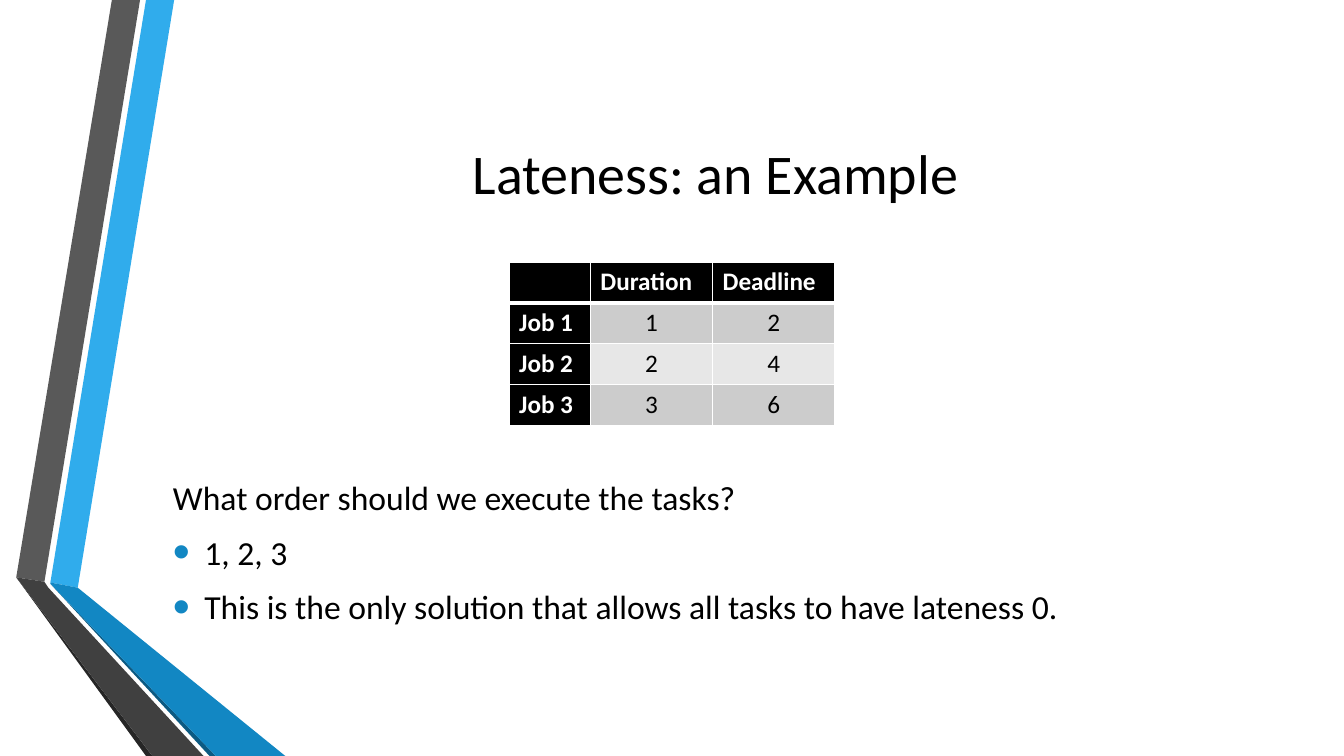
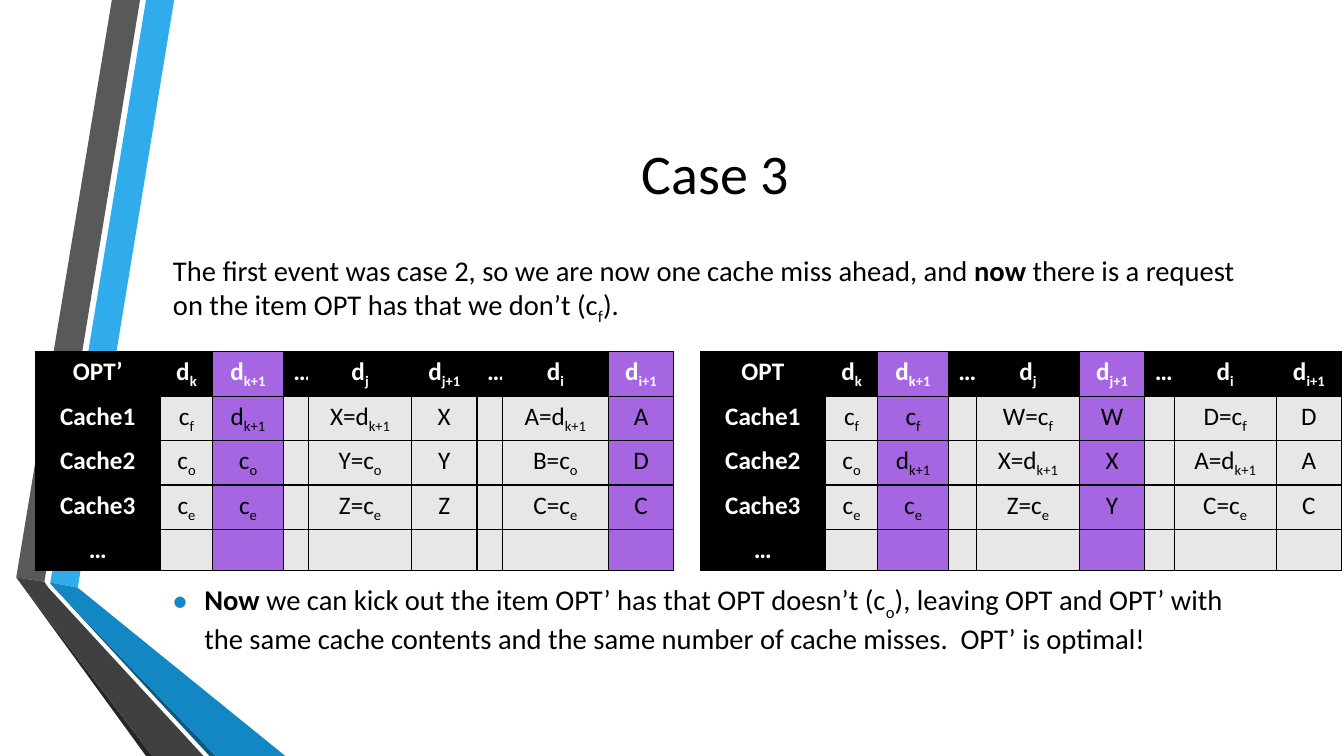
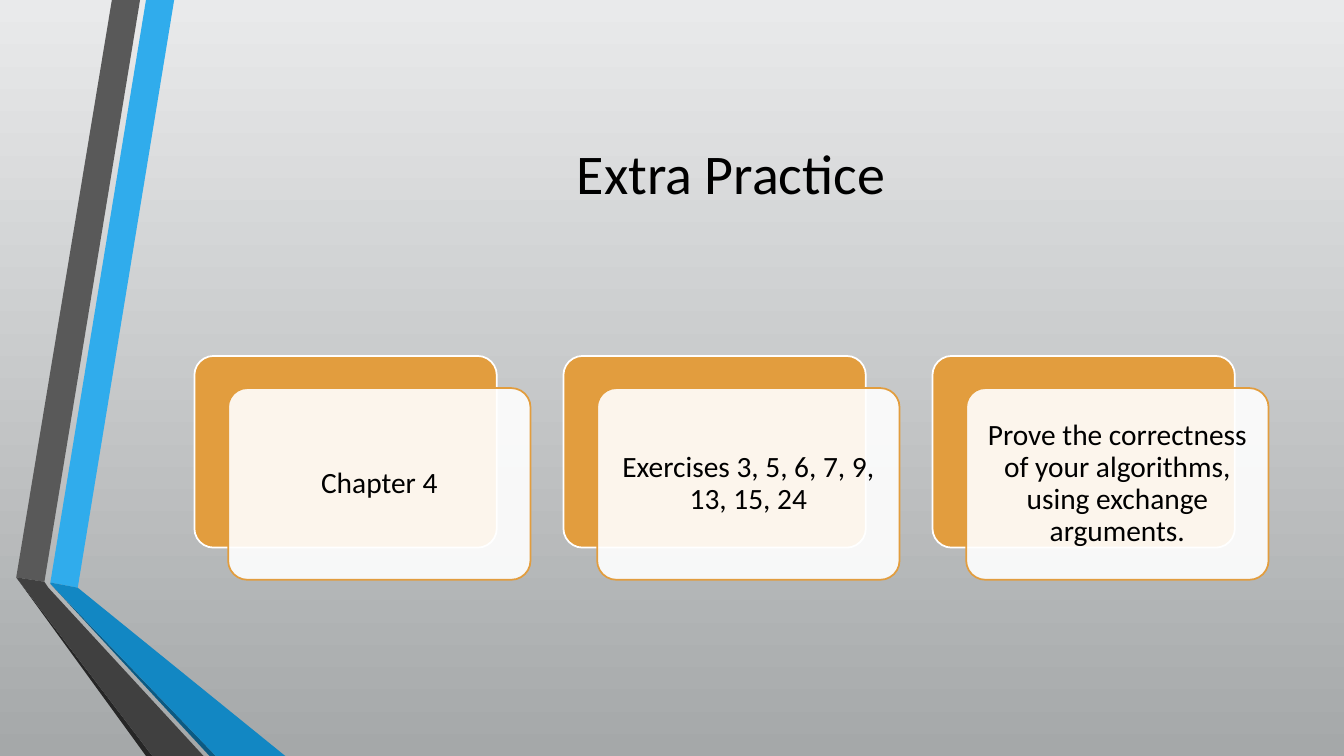
from dataclasses import dataclass
from typing import NamedTuple

from lxml.etree import SubElement
from pptx import Presentation
from pptx.dml.color import RGBColor
from pptx.enum.shapes import MSO_SHAPE as Shape
from pptx.enum.text import MSO_ANCHOR as Anchor, PP_ALIGN as Align
from pptx.oxml.ns import qn
from pptx.util import Cm, Pt


@dataclass(frozen=True)
class Theme:
    """Colours, font and type sizes of the deck."""
    font: str = "Calibri"
    ink: str = "000000"
    paper: str = "FFFFFF"
    accent: str = "1287C3"
    band_dark: str = "CCCCCC"
    band_light: str = "E7E7E7"
    highlight: str = "A666E1"
    card: str = "E29D3E"
    sky: str = "E9EAEB"
    ground: str = "A5A8A9"
    title_size: float = 40
    body_size: float = 24
    note_size: float = 20.4
    card_size: float = 21
    cell_size: float = 18


class Box(NamedTuple):
    """A rectangle in centimetres."""
    left: float
    top: float
    width: float
    height: float

    def emu(self):
        """Return the four lengths for python-pptx."""
        return [Cm(length) for length in self]


THEME = Theme()
SLIDE_WIDTH, SLIDE_HEIGHT = 33.87, 19.05
TITLE_BOX = Box(4.11, 1.9, 27.84, 4.88)
RIBBONS = [
    ("30ACEC", [(1.27, 14.68), (1.96, 14.81), (4.39, 0), (3.68, 0)]),
    ("595959", [(3.53, 0), (2.82, 0), (0.41, 14.55), (1.12, 14.66)]),
    ("262626", [(0.41, 14.55), (3.68, SLIDE_HEIGHT), (3.84, SLIDE_HEIGHT)]),
    ("0C5A82", [(1.27, 14.71), (5.28, SLIDE_HEIGHT), (5.44, SLIDE_HEIGHT)]),
    (THEME.accent, [(1.27, 14.68), (1.27, 14.71), (5.44, SLIDE_HEIGHT),
                    (7.19, SLIDE_HEIGHT), (1.96, 14.81)]),
    ("404040", [(5.13, SLIDE_HEIGHT), (1.22, 14.81), (1.12, 14.66),
                (0.41, 14.55), (3.84, SLIDE_HEIGHT)]),
]


def rgb(code):
    """Turn a hex code into a colour."""
    return RGBColor.from_string(code)


def add_bullet(paragraph):
    """Give a paragraph a hanging accent-coloured bullet."""
    properties = paragraph._p.get_or_add_pPr()
    properties.set("marL", str(Cm(0.79)))
    properties.set("indent", str(-Cm(0.79)))
    colour = SubElement(properties, qn("a:buClr"))
    SubElement(colour, qn("a:srgbClr"), val=THEME.accent)
    SubElement(properties, qn("a:buSzPct"), val="145000")
    SubElement(properties, qn("a:buFont"), typeface="Arial")
    SubElement(properties, qn("a:buChar"), char="•")


def write_text(frame, text, *, size, color=THEME.ink, bold=False, align=Align.LEFT,
               anchor=None, gap=0, line_spacing=None):
    """Write lines, where ~x~ is a subscript, *x* is bold and a leading • makes a bullet."""
    frame.word_wrap = True
    if anchor is not None:
        frame.vertical_anchor = anchor
    for number, line in enumerate(text.split("\n")):
        paragraph = frame.add_paragraph() if number else frame.paragraphs[0]
        paragraph.alignment = align
        if line.startswith("•"):
            add_bullet(paragraph)
            line = line[1:]
        if number:
            paragraph.space_before = Pt(gap)
        if line_spacing:
            paragraph.line_spacing = line_spacing
        for level, script in enumerate(line.split("~")):
            for weight, part in enumerate(script.split("*")):
                if not part:
                    continue
                run = paragraph.add_run()
                run.text = part
                run.font.name = THEME.font
                run.font.size = Pt(size)
                run.font.color.rgb = rgb(color)
                run.font.bold = bold or weight % 2 == 1
                if level % 2:
                    run.font._element.set("baseline", "-25000")


def add_ribbons(layout, slide):
    """Draw the folded ribbons and move them behind the layout's placeholders."""
    for number, (color, points) in enumerate(RIBBONS):
        corners = [(Cm(x), Cm(y)) for x, y in points]
        builder = slide.shapes.build_freeform(*corners[0])
        builder.add_line_segments(corners[1:], close=True)
        ribbon = builder.convert_to_shape()
        ribbon.shadow.inherit = False
        ribbon.fill.solid()
        ribbon.fill.fore_color.rgb = rgb(color)
        ribbon.line.fill.background()
        ribbon.element.nvSpPr.cNvPr.set("id", str(100 + number))
        layout.shapes.element.insert(2 + number, ribbon.element)


def add_titled_slide(deck, layout, title, box=TITLE_BOX):
    """Add a slide with a centred title."""
    slide = deck.slides.add_slide(layout)
    heading = slide.shapes.title
    heading.left, heading.top, heading.width, heading.height = box.emu()
    write_text(heading.text_frame, title, size=THEME.title_size,
               align=Align.CENTER, anchor=Anchor.MIDDLE)
    return slide


def add_body(slide, box, text, **style):
    """Place body text in a box."""
    body = slide.shapes.add_textbox(*box.emu())
    write_text(body.text_frame, text, **style)


def set_borders(cell, color, top=1, bottom=1):
    """Draw the four borders of a table cell, with widths in points."""
    properties = cell._tc.get_or_add_tcPr()
    for side, width in (("L", 1), ("R", 1), ("T", top), ("B", bottom)):
        line = SubElement(properties, qn(f"a:ln{side}"), w=str(Pt(width)))
        fill = SubElement(line, qn("a:solidFill"))
        SubElement(fill, qn("a:srgbClr"), val=color)


def add_grid(slide, box, widths, rows, *, border, bands, header_rule=1,
             label_align=Align.CENTER, highlighted=()):
    """Add a table with a black header row and label column."""
    frame = slide.shapes.add_table(len(rows), len(widths), *box.emu())
    table = frame.table
    table.first_row = table.horz_banding = False
    for column, width in zip(table.columns, widths):
        column.width = Cm(width)
    for r, row in enumerate(rows):
        table.rows[r].height = Cm(box.height / len(rows))
        for c, text in enumerate(row.split("|")):
            cell = table.cell(r, c)
            label = r == 0 or c == 0
            set_borders(cell, border, top=header_rule if r == 1 else 1,
                        bottom=header_rule if r == 0 else 1)
            cell.fill.solid()
            cell.fill.fore_color.rgb = rgb(
                THEME.highlight if c in highlighted
                else THEME.ink if label else bands[(r - 1) % len(bands)])
            write_text(cell.text_frame, text, size=THEME.cell_size, bold=label,
                       color=THEME.paper if label else THEME.ink,
                       align=label_align if label else Align.CENTER)


def add_card(slide, box, text):
    """Add a solid card with a translucent text card overlapping it."""
    solid = slide.shapes.add_shape(Shape.ROUNDED_RECTANGLE, *box.emu())
    front_box = box._replace(left=box.left + 0.85, top=box.top + 0.81)
    front = slide.shapes.add_shape(Shape.ROUNDED_RECTANGLE, *front_box.emu())
    for card, fill, edge in ((solid, THEME.card, THEME.paper),
                             (front, THEME.paper, THEME.card)):
        card.adjustments[0] = 0.1
        card.shadow.inherit = False
        card.fill.solid()
        card.fill.fore_color.rgb = rgb(fill)
        card.line.color.rgb = rgb(edge)
        card.line.width = Pt(1.25)
    tint = front.element.spPr.find(qn("a:solidFill")).find(qn("a:srgbClr"))
    SubElement(tint, qn("a:alpha"), val="90000")
    frame = front.text_frame
    frame.margin_left = frame.margin_right = Cm(0.23)
    frame.margin_top = frame.margin_bottom = Cm(0.23)
    write_text(frame, text, size=THEME.card_size, align=Align.CENTER,
               anchor=Anchor.MIDDLE, line_spacing=0.9)


def fill_lateness(slide):
    """Show the job table and the question about it."""
    add_grid(slide, Box(12.83, 6.6, 8.21, 4.12), [2.05, 3.08, 3.08],
             ["|Duration|Deadline", "Job 1|1|2", "Job 2|2|4", "Job 3|3|6"],
             border=THEME.paper, bands=[THEME.band_dark, THEME.band_light],
             header_rule=3, label_align=Align.LEFT)
    add_body(slide, Box(TITLE_BOX.left, 11.8, TITLE_BOX.width, 4.2),
             "What order should we execute the tasks?\n"
             "•1, 2, 3\n"
             "•This is the only solution that allows all tasks to have lateness 0.",
             size=THEME.body_size, anchor=Anchor.MIDDLE, gap=10.4)


def fill_case(slide):
    """Compare the two caches between the explaining paragraphs."""
    add_body(slide, Box(TITLE_BOX.left, 6.25, TITLE_BOX.width, 2.1),
             "The first event was case 2, so we are now one cache miss ahead, and *now* "
             "there is a request on the item OPT has that we don’t (c~f~).",
             size=THEME.note_size)
    add_body(slide, Box(TITLE_BOX.left, 14.55, TITLE_BOX.width, 2.2),
             "•*Now* we can kick out the item OPT’ has that OPT doesn’t (c~o~), leaving OPT "
             "and OPT’ with the same cache contents and the same number of cache misses.  "
             "OPT’ is optimal!", size=THEME.note_size)
    header = "|d~k~|d~k+1~|…|d~j~|d~j+1~|…|d~i~|d~i+1~"
    last = "…||||||||"
    caches = [
        (0.89, [3.15, 1.32, 1.78, 0.64, 2.59, 1.65, 0.64, 2.67, 1.65], (2, 8),
         ["OPT’" + header,
          "Cache1|c~f~|d~k+1~||X=d~k+1~|X||A=d~k+1~|A",
          "Cache2|c~o~|c~o~||Y=c~o~|Y||B=c~o~|D",
          "Cache3|c~e~|c~e~||Z=c~e~|Z||C=c~e~|C", last]),
        (17.65, [3.15, 1.32, 1.78, 0.71, 2.59, 1.65, 0.74, 2.57, 1.65], (2, 5),
         ["OPT" + header,
          "Cache1|c~f~|c~f~||W=c~f~|W||D=c~f~|D",
          "Cache2|c~o~|d~k+1~||X=d~k+1~|X||A=d~k+1~|A",
          "Cache3|c~e~|c~e~||Z=c~e~|Y||C=c~e~|C", last]),
    ]
    for left, widths, highlighted, rows in caches:
        add_grid(slide, Box(left, 8.86, sum(widths), 5.15), widths, rows,
                 border=THEME.ink, bands=[THEME.band_light], highlighted=highlighted)


def fill_practice(slide):
    """Lay the three tasks out as cards on a grey gradient."""
    sky = slide.background.fill
    sky.gradient()
    sky.gradient_angle = 270
    for stop, color in zip(sky.gradient_stops, (THEME.sky, THEME.ground)):
        stop.color.rgb = rgb(color)
    tasks = ["Chapter 4", "Exercises 3, 5, 6, 7, 9, 13, 15, 24",
             "Prove the correctness of your algorithms, using exchange arguments."]
    for number, task in enumerate(tasks):
        add_card(slide, Box(4.9 + 9.3 * number, 8.97, 7.62, 4.83), task)


def main():
    """Build and save the deck."""
    deck = Presentation()
    deck.slide_width, deck.slide_height = Cm(SLIDE_WIDTH), Cm(SLIDE_HEIGHT)
    layout = deck.slide_layouts.get_by_name("Title Only")
    lateness = add_titled_slide(deck, layout, "Lateness: an Example")
    add_ribbons(layout, lateness)
    fill_lateness(lateness)
    fill_case(add_titled_slide(deck, layout, "Case 3"))
    fill_practice(add_titled_slide(deck, layout, "Extra Practice",
                                   TITLE_BOX._replace(left=4.9, width=27.05)))
    deck.save("out.pptx")


if __name__ == "__main__":
    main()
